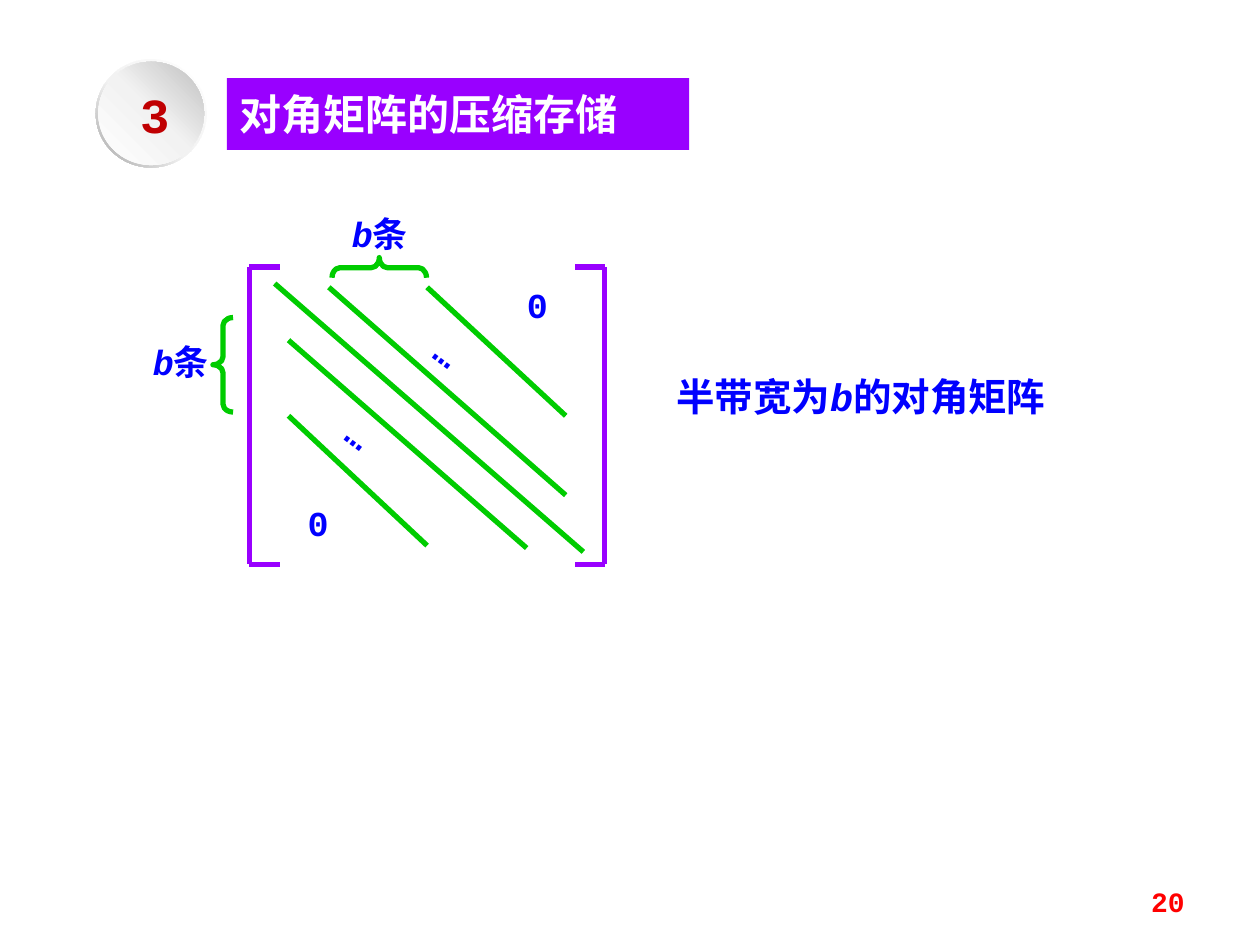
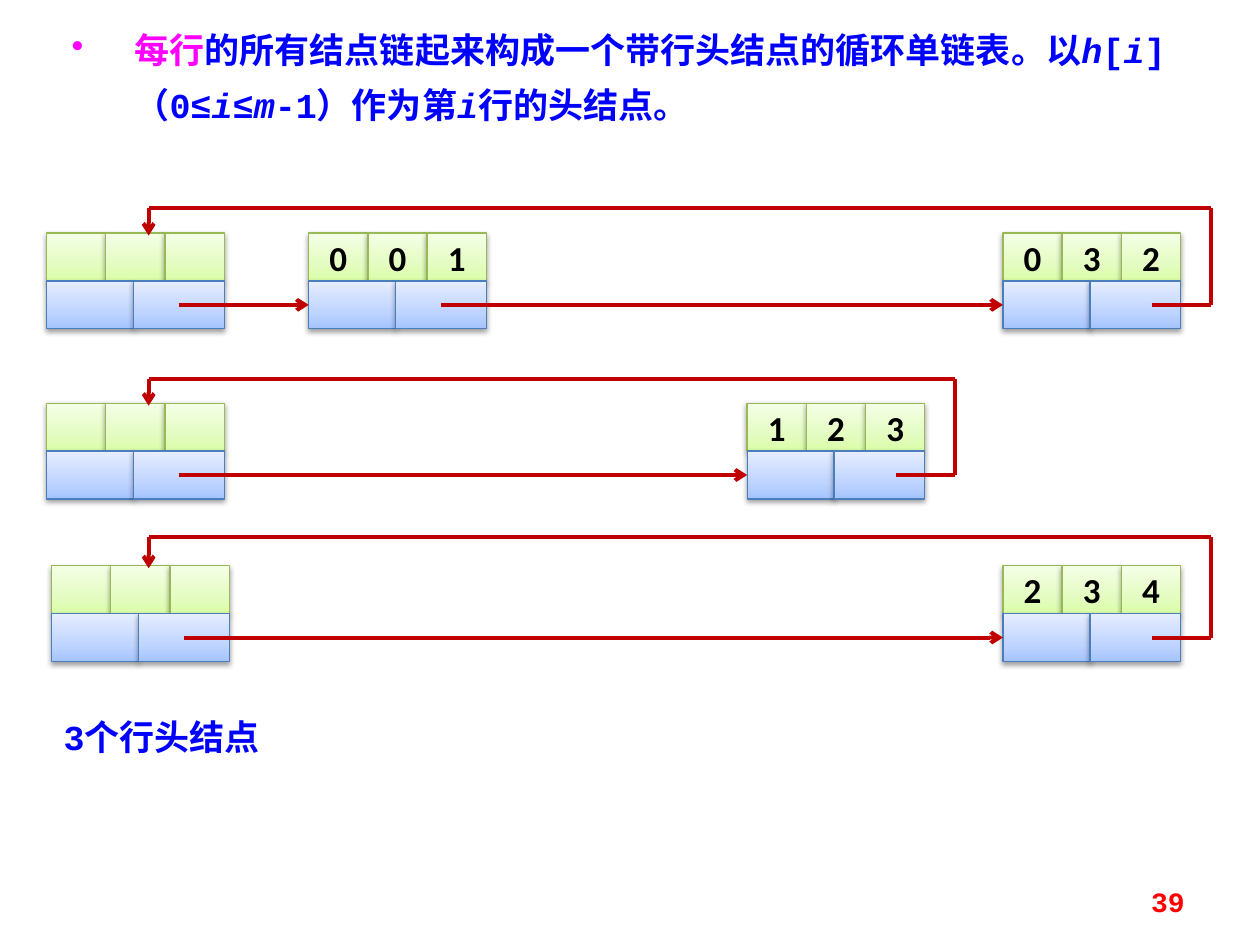
import itertools

import lxml.etree
import pptx
import pptx.dml.color
import pptx.enum.shapes
import pptx.enum.text
import pptx.oxml
import pptx.oxml.ns
import pptx.util

Inches, Pt = pptx.util.Inches, pptx.util.Pt
qn = pptx.oxml.ns.qn
SHAPE = pptx.enum.shapes.MSO_SHAPE
ALIGN = pptx.enum.text.PP_ALIGN
ANCHOR = pptx.enum.text.MSO_ANCHOR


class Theme:
    mono, sans = "Courier New", "Calibri"
    purple, green, blue = "9900FF", "00CC00", "0000FF"
    white, black, pink = "FFFFFF", "000000", "FF00FF"
    number, badge, link = "FF0000", "C00002", "C00000"
    cell_lines = {"data": "98B955", "pointer": "4B7EBC"}
    cell_fills = {
        "data": ((0, "DAFDA7"), (35, "E4FCC2"), (100, "F5FFE7")),
        "pointer": ((0, "A4C4FF"), (35, "BFD4FF"), (100, "E6EEFF")),
    }
    ring_fill = ((0, "FFFFFF"), (55, "F2F2F2"), (100, "A6A6A6"))
    disc_fill = ((0, "FFFFFF"), (51, "F2F2F2"), (100, "BFBFBF"))
    title, caption, body, badge_size, page = 24, 22, 20, 28, 16
    stroke, link_stroke, cell_stroke = 3, 2.25, 0.75


def rgb(color):
    return pptx.dml.color.RGBColor.from_string(color)


# Shared drawing helpers

def write(tf, text, size, color, font=Theme.mono, align=ALIGN.CENTER, lead=None):
    """Fill a frame; words between asterisks are italic, lead is a pink opening."""
    p = tf.paragraphs[0]
    p.alignment = align
    p.font.name, p.font.size, p.font.bold = font, Pt(size), True
    p.font.color.rgb = rgb(color)
    if lead:
        r = p.add_run()
        r.text = lead
        r.font.color.rgb = rgb(Theme.pink)
    for i, part in enumerate(text.split("*")):
        r = p.add_run()
        r.text = part
        if i % 2:
            r.font.italic = True
    return p


def add_text(slide, box, text, size, color, rotation=0, **kw):
    s = slide.shapes.add_textbox(*map(Inches, box))
    s.rotation = rotation
    s.text_frame.word_wrap = True
    write(s.text_frame, text, size, color, **kw)
    return s


def add_shape(slide, kind, box):
    s = slide.shapes.add_shape(kind, *map(Inches, box))
    s.shadow.inherit = False
    s.fill.background()
    s.line.fill.background()
    return s


def set_line(s, color, width):
    s.line.color.rgb = rgb(color)
    s.line.width = Pt(width)


def set_gradient(s, stops, angle):
    s.fill.gradient()
    grad = s.element.spPr.find(qn("a:gradFill"))
    stop_list = grad.find(qn("a:gsLst"))
    for stop in list(stop_list):
        stop_list.remove(stop)
    for position, color in stops:
        stop = lxml.etree.SubElement(stop_list, qn("a:gs"), pos=str(position * 1000))
        lxml.etree.SubElement(stop, qn("a:srgbClr"), val=color)
    grad.find(qn("a:lin")).set("ang", str(angle * 60000))


def set_shadow(s):
    effects = s.element.spPr.find(qn("a:effectLst"))
    shadow = lxml.etree.SubElement(
        effects, qn("a:outerShdw"), blurRad="40000", dist="20000",
        dir="5400000", rotWithShape="0")
    color = lxml.etree.SubElement(shadow, qn("a:srgbClr"), val=Theme.black)
    lxml.etree.SubElement(color, qn("a:alpha"), val="38000")


def add_line(slide, start, end, color, width, arrow=False):
    s = slide.shapes.add_connector(
        pptx.enum.shapes.MSO_CONNECTOR.STRAIGHT, *map(Inches, (*start, *end)))
    set_line(s, color, width)
    if arrow:
        lxml.etree.SubElement(s.line._get_or_add_ln(), qn("a:tailEnd"), type="arrow")
    lxml.etree.SubElement(s.element.spPr, qn("a:effectLst"))
    return s


def page_number(slide, number):
    s = add_text(slide, (7.17, 6.95, 2.33, 0.4), str(number), Theme.page,
                 Theme.number, align=ALIGN.RIGHT)
    s.text_frame.vertical_anchor = ANCHOR.MIDDLE


# Slide 1: diagonal matrix

def title_band(slide, box, text):
    s = slide.shapes.title
    s.left, s.top, s.width, s.height = map(Inches, box)
    s.fill.solid()
    s.fill.fore_color.rgb = rgb(Theme.purple)
    tf = s.text_frame
    tf.auto_size = pptx.enum.text.MSO_AUTO_SIZE.NONE
    tf.vertical_anchor = ANCHOR.MIDDLE
    write(tf, text, Theme.title, Theme.white, align=ALIGN.LEFT)


def number_badge(slide, box, number):
    x, y, w, h = box
    ring = add_shape(slide, SHAPE.DONUT, box)
    ring.adjustments[0] = 0.05
    set_gradient(ring, Theme.ring_fill, 135)
    disc = add_shape(slide, SHAPE.OVAL, (x + 0.02, y + 0.02, w - 0.04, h - 0.04))
    set_gradient(disc, Theme.disc_fill, 315)
    s = add_text(slide, (x + 0.24, y + 0.2, 0.46, 0.47), number,
                 Theme.badge_size, Theme.badge)
    tf = s.text_frame
    tf.margin_left = tf.margin_right = tf.margin_top = tf.margin_bottom = 0


def band_matrix(slide, box):
    x, y, w, h = box
    tick = 0.24

    # Square brackets
    for side, inward in ((x, tick), (x + w, -tick)):
        add_line(slide, (side, y), (side, y + h), Theme.purple, Theme.stroke)
        for level in (y, y + h):
            add_line(slide, (side, level), (side + inward, level),
                     Theme.purple, Theme.stroke)

    # Diagonals, from the main one outwards
    diagonals = (
        (0.2, 0.13, 2.65, 2.26),
        (0.63, 0.16, 2.51, 1.81), (1.41, 0.16, 2.51, 1.18),
        (0.31, 0.58, 2.2, 2.23), (0.31, 1.18, 1.41, 2.21),
    )
    for x1, y1, x2, y2 in diagonals:
        add_line(slide, (x + x1, y + y1), (x + x2, y + y2),
                 Theme.green, Theme.stroke)

    # Braces over the two half bands
    for dx, dy, rotation in ((-0.29, 0.4, 0), (0.95, -0.37, 90)):
        s = add_shape(slide, SHAPE.LEFT_BRACE, (x + dx, y + dy, 0.16, 0.75))
        s.adjustments[0] = 0.395
        s.rotation = rotation
        set_line(s, Theme.green, Theme.stroke)

    # Labels
    labels = (
        ("*b*条", -0.94, 0.53, 0), ("*b*条", 0.64, -0.48, 0),
        ("0", 0.15, 1.81, 0), ("0", 1.89, 0.08, 0),
        ("…", 0.48, 1.11, 36.9), ("…", 1.18, 0.46, 36.9),
    )
    for text, dx, dy, rotation in labels:
        add_text(slide, (x + dx, y + dy, 0.79, 0.43), text, Theme.body,
                 Theme.blue, rotation)


def matrix_slide(prs):
    slide = prs.slides.add_slide(prs.slide_layouts[5])
    title_band(slide, (1.8, 0.62, 3.67, 0.57), "对角矩阵的压缩存储")
    number_badge(slide, (0.76, 0.47, 0.88, 0.86), "3")
    band_matrix(slide, (1.98, 2.12, 2.82, 2.36))
    add_text(slide, (5.27, 2.91, 3.63, 0.47), "半带宽为*b*的对角矩阵",
             Theme.caption, Theme.blue, align=ALIGN.LEFT)
    page_number(slide, 20)


# Slide 2: circular row lists

CELL_W, CELL_H = 0.47, 0.38
POINTER_WIDTHS = (0.69, 0.72)


def node_cell(slide, box, kind, text=""):
    s = add_shape(slide, SHAPE.RECTANGLE, box)
    set_gradient(s, Theme.cell_fills[kind], 270)
    set_line(s, Theme.cell_lines[kind], Theme.cell_stroke)
    set_shadow(s)
    if text:
        s.text_frame.word_wrap = False
        s.text_frame.vertical_anchor = ANCHOR.MIDDLE
        write(s.text_frame, text, Theme.body, Theme.black, font=Theme.sans)
    return s


def list_node(slide, x, y, values):
    """Draw one node and return its lower left cell, where links arrive."""
    for i, value in enumerate(values):
        node_cell(slide, (x + i * CELL_W, y, CELL_W, CELL_H), "data", value)
    down, right = POINTER_WIDTHS
    entry = node_cell(slide, (x, y + CELL_H, down, CELL_H), "pointer")
    node_cell(slide, (x + down, y + CELL_H, right, CELL_H), "pointer")
    return entry


def row_list(slide, y, rise, nodes):
    """Chain the (x, values) nodes and lead the last one back to the first."""
    entries = [list_node(slide, x, y, values) for x, values in nodes]
    link_y = y + 1.5 * CELL_H
    for (x, _), (next_x, _), entry in zip(nodes, nodes[1:], entries[1:]):
        s = add_line(slide, (x + 1.05, link_y), (next_x, link_y),
                     Theme.link, Theme.link_stroke, arrow=True)
        s.end_connect(entry, 1)

    # Way back over the top
    last_x, head_x = nodes[-1][0], 1.18
    right, top = last_x + 1.65, y - rise
    route = ((last_x + 1.18, link_y), (right, link_y), (right, top),
             (head_x, top), (head_x, y + 0.02))
    for start, end in itertools.pairwise(route):
        add_line(slide, start, end, Theme.link, Theme.link_stroke,
                 arrow=end == route[-1])


def bullet_text(slide, box, lead, text):
    s = add_text(slide, box, "", Theme.body, Theme.blue)
    p = s.text_frame.paragraphs[0]
    p.clear()
    p_pr = p._p.get_or_add_pPr()
    p_pr.set("marL", str(Inches(0.5)))
    p_pr.set("indent", str(Inches(-0.5)))
    bullet = p_pr.makeelement(qn("a:buChar"), {"char": "•"})
    p_pr.insert(0, bullet)
    p.line_spacing = 1.3
    write(s.text_frame, text, Theme.body, Theme.blue, align=ALIGN.LEFT, lead=lead)


def row_lists_slide(prs):
    slide = prs.slides.add_slide(prs.slide_layouts[6])
    bullet_text(
        slide, (0.47, 0.08, 9, 0.93), "每行",
        "的所有结点链起来构成一个带行头结点的循环单链表。以*h*[*i*]"
        "（0≤*i*≤*m*-1）作为第*i*行的头结点。")
    head = ("", "", "")
    row_list(slide, 1.85, 0.2, [(0.37, head), (2.45, "001"), (7.96, "032")])
    row_list(slide, 3.2, 0.19, [(0.37, head), (5.93, "123")])
    row_list(slide, 4.49, 0.23, [(0.41, head), (7.96, "234")])
    add_text(slide, (0.23, 5.63, 2.11, 0.44), "3个行头结点", Theme.body, Theme.blue)
    page_number(slide, 39)


def main():
    prs = pptx.Presentation()
    prs.slide_width, prs.slide_height = Inches(10), Inches(7.5)
    matrix_slide(prs)
    row_lists_slide(prs)
    prs.save("out.pptx")


if __name__ == "__main__":
    main()
